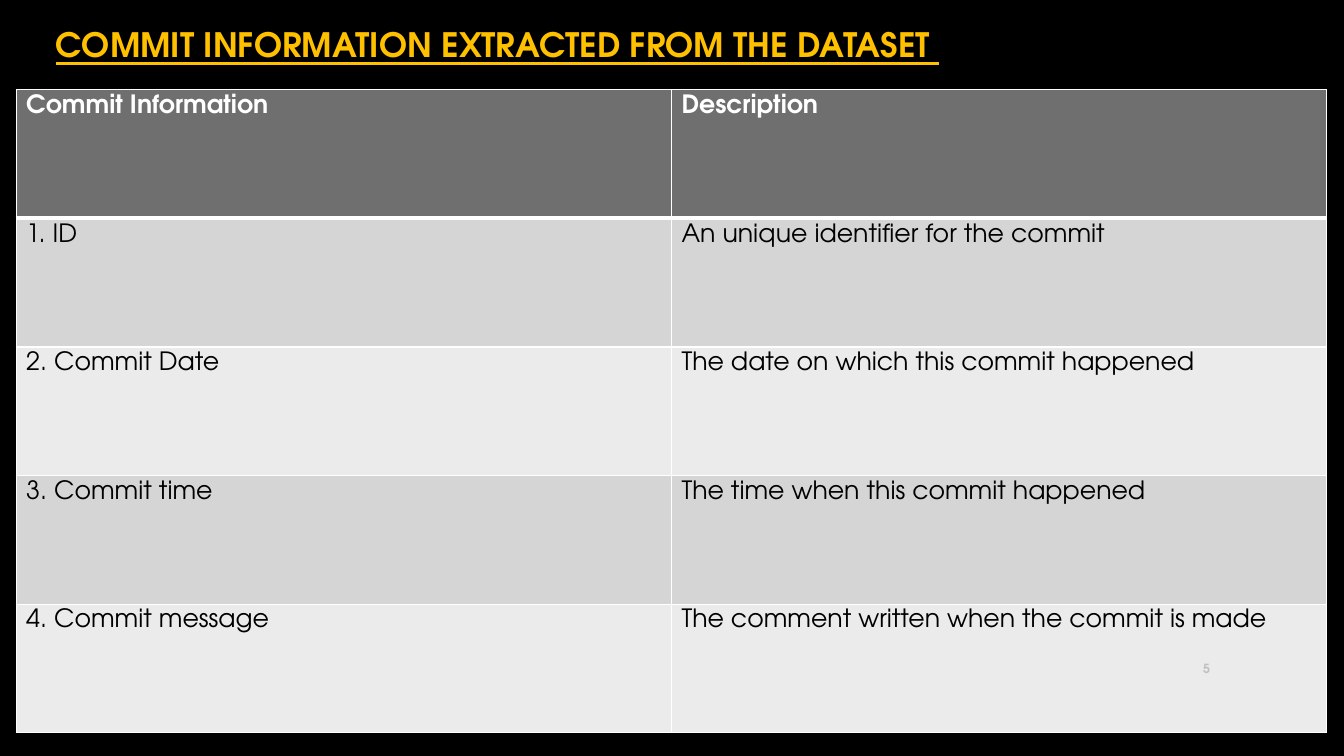
"""Build the slide that lists the commit information taken from the dataset."""
from lxml.etree import SubElement
from pptx import Presentation
from pptx.dml.color import RGBColor as RGB
from pptx.enum.text import MSO_ANCHOR as ANCHOR, PP_ALIGN as ALIGN
from pptx.oxml.ns import qn
from pptx.util import Inches, Pt

TITLE = "COMMIT INFORMATION EXTRACTED FROM THE DATASET "
ROWS = [
    ("Commit Information", "Description"),
    ("1. ID", "An unique identifier for the commit"),
    ("2. Commit Date", "The date on which this commit happened"),
    ("3. Commit time", "The time when this commit happened"),
    ("4. Commit message", "The comment written when the commit is made"),
]
PAGE = "5"

FONT = "TeX Gyre Adventor"
BLACK = RGB(0x00, 0x00, 0x00)
WHITE = RGB(0xFF, 0xFF, 0xFF)
GOLD = RGB(0xFF, 0xC0, 0x00)
SILVER = RGB(0xBF, 0xBF, 0xBF)
HEADER = RGB(0x6F, 0x6F, 0x6F)
BANDS = (RGB(0xEB, 0xEB, 0xEB), RGB(0xD5, 0xD5, 0xD5))

WIDTH, HEIGHT = 13.33, 7.5
TABLE_LEFT, TABLE_TOP = 0.16, 0.89
TABLE_WIDTH, TABLE_HEIGHT = 13, 6.38


def add_text(p, text, size=18, color=BLACK, bold=False, underline=False):
    """Add one formatted run to a paragraph."""
    r = p.add_run()
    r.text = text
    f = r.font
    f.name, f.size, f.bold, f.underline = FONT, Pt(size), bold, underline
    f.color.rgb = color


def set_margins(box):
    """Give a text frame or a table cell its inner margins."""
    box.margin_left = box.margin_right = Inches(0.1)
    box.margin_top = box.margin_bottom = Inches(0.05)


def set_frame(tf):
    """Give a text frame its margins, wrapping and middle anchor."""
    set_margins(tf)
    tf.word_wrap = True
    tf.vertical_anchor = ANCHOR.MIDDLE


def set_borders(cell, **widths):
    """Draw white cell borders, given as side=points, under the cell fill."""
    tc_pr = cell._tc.get_or_add_tcPr()
    for side, points in widths.items():
        ln = SubElement(tc_pr, qn(f"a:ln{side}"), w=str(Pt(points)))
        fill = SubElement(ln, qn("a:solidFill"))
        SubElement(fill, qn("a:srgbClr"), val=str(WHITE))


def add_title(s):
    """Place and format the title."""
    sp = s.shapes.title
    sp.left, sp.top = Inches(0.36), Inches(0.16)
    sp.width, sp.height = Inches(WIDTH), Inches(0.55)
    tf = sp.text_frame
    set_frame(tf)
    p = tf.paragraphs[0]
    p.alignment = ALIGN.LEFT
    add_text(p, " ", size=24, color=WHITE)
    add_text(p, TITLE, size=24, color=GOLD, bold=True, underline=True)


def add_commit_table(s):
    """Add the table with a dark header and two alternating bands."""
    table = s.shapes.add_table(
        len(ROWS), len(ROWS[0]), Inches(TABLE_LEFT), Inches(TABLE_TOP),
        Inches(TABLE_WIDTH), Inches(TABLE_HEIGHT)).table
    for i, row in enumerate(ROWS):
        head = i == 0
        for j, text in enumerate(row):
            cell = table.cell(i, j)
            set_margins(cell)
            cell.vertical_anchor = ANCHOR.TOP
            set_borders(cell, L=1, R=1, T=3 if i == 1 else 1, B=3 if head else 1)
            cell.fill.solid()
            cell.fill.fore_color.rgb = HEADER if head else BANDS[i % 2]
            add_text(cell.text_frame.paragraphs[0], text,
                     color=WHITE if head else BLACK, bold=head)


def add_page_number(s):
    """Add the page number near the lower right corner."""
    tf = s.shapes.add_textbox(
        Inches(11.5), Inches(6.43), Inches(0.6), Inches(0.4)).text_frame
    set_frame(tf)
    p = tf.paragraphs[0]
    p.alignment = ALIGN.RIGHT
    add_text(p, PAGE, size=9, color=SILVER, bold=True)


def main():
    """Build and save the slide."""
    prs = Presentation()
    prs.slide_width, prs.slide_height = Inches(WIDTH), Inches(HEIGHT)
    s = prs.slides.add_slide(prs.slide_layouts[5])
    s.background.fill.solid()
    s.background.fill.fore_color.rgb = BLACK
    add_title(s)
    add_commit_table(s)
    add_page_number(s)
    prs.save("out.pptx")


if __name__ == "__main__":
    main()
